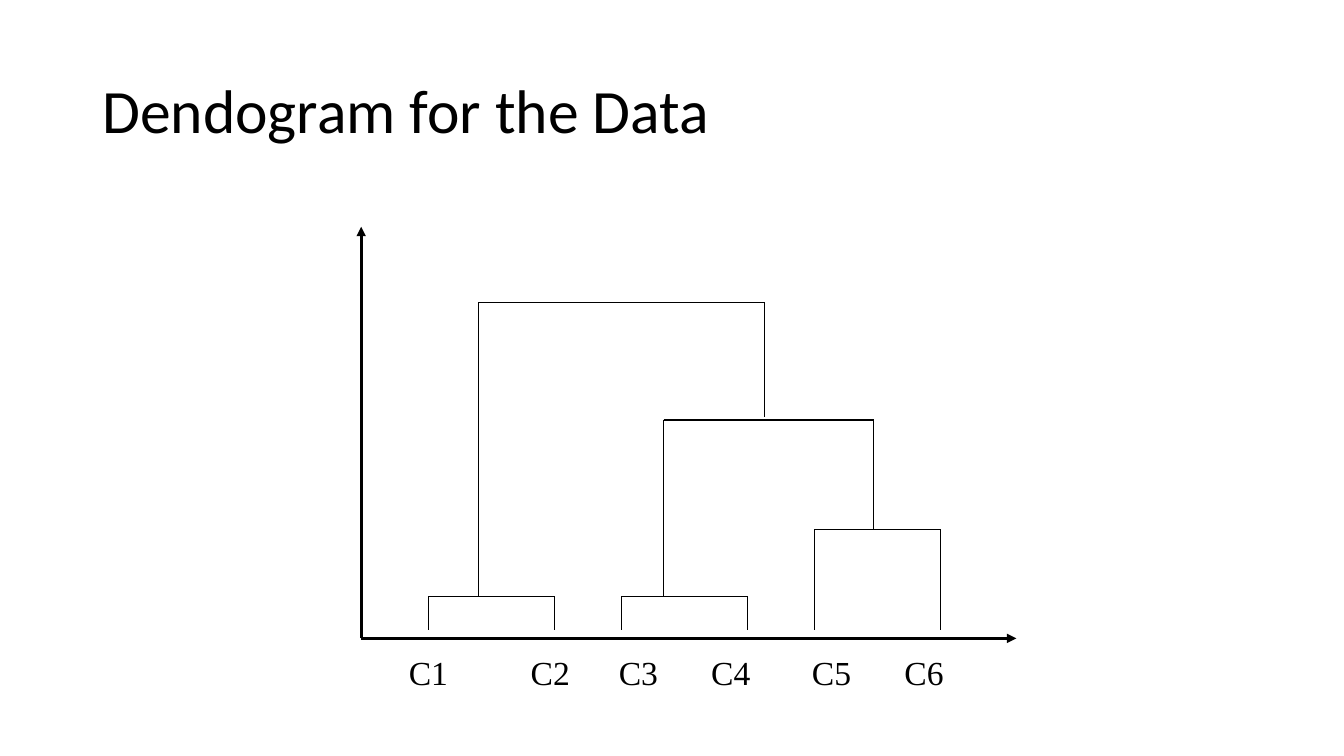
from lxml import etree
from pptx import Presentation
from pptx import util as u
from pptx.dml.color import RGBColor
from pptx.enum import shapes, text
from pptx.oxml.ns import qn

BLACK = RGBColor(0, 0, 0)
CELL = u.Inches(1) // 12
AXIS_X, AXIS_Y = 43, 76
LEAF_END = 75
LABEL_ROW = 77
LABELS = [("C1", 47, 8), ("C2", 61, 9), ("C3", 72, 8),
          ("C4", 83, 8), ("C5", 95, 8), ("C6", 106, 8)]
FORKS = [(51, 66, 71, LEAF_END, LEAF_END),
         (74, 89, 71, LEAF_END, LEAF_END),
         (97, 112, 63, LEAF_END, LEAF_END),
         (79, 104, 50, 71, 63),
         (57, 91, 36, 71, 49.7)]


def grid(*cells):
    return [round(c * CELL) for c in cells]


def add_line(parent, start, end, width=0.75, arrow=False):
    line = parent.add_connector(shapes.MSO_CONNECTOR.STRAIGHT, *grid(*start, *end))
    line.line.color.rgb = BLACK
    line.line.width = u.Pt(width)
    if arrow:
        ln = line.line._get_or_add_ln()
        etree.SubElement(ln, qn("a:tailEnd"), type="triangle")
    etree.SubElement(line._element.spPr, qn("a:effectLst"))


def add_text(s, words, box, size, font, align=text.PP_ALIGN.LEFT,
             anchor=text.MSO_ANCHOR.TOP, spacing=1.0, before=0):
    tf = s.shapes.add_textbox(*grid(*box)).text_frame
    tf.word_wrap = True
    tf.vertical_anchor = anchor
    p = tf.paragraphs[0]
    p.alignment = align
    p.line_spacing = spacing
    p.space_before = u.Pt(before)
    r = p.add_run()
    r.text = words
    r.font.size = u.Pt(size)
    r.font.name = font
    r.font.color.rgb = BLACK


def add_fork(s, left, right, top, left_end, right_end):
    fork = s.shapes.add_group_shape().shapes
    add_line(fork, (left, top), (right, top))
    add_line(fork, (left, top), (left, left_end))
    add_line(fork, (right, top), (right, right_end))


def main():
    prs = Presentation()
    prs.slide_width, prs.slide_height = grid(160, 90)
    s = prs.slides.add_slide(prs.slide_layouts[6])
    add_text(s, "Dendogram for the Data", (11, 4.8, 138, 17.4), 44, "Calibri",
             anchor=text.MSO_ANCHOR.MIDDLE, spacing=0.9)
    for end in ((AXIS_X, 27), (121, AXIS_Y)):
        add_line(s.shapes, (AXIS_X, AXIS_Y), end, 2.25, arrow=True)
    for name, left, width in LABELS:
        add_text(s, name, (left, LABEL_ROW, width, 6), 24, "Times New Roman",
                 align=text.PP_ALIGN.CENTER, before=3)
    for fork in FORKS:
        add_fork(s, *fork)
    prs.save("out.pptx")


main()
